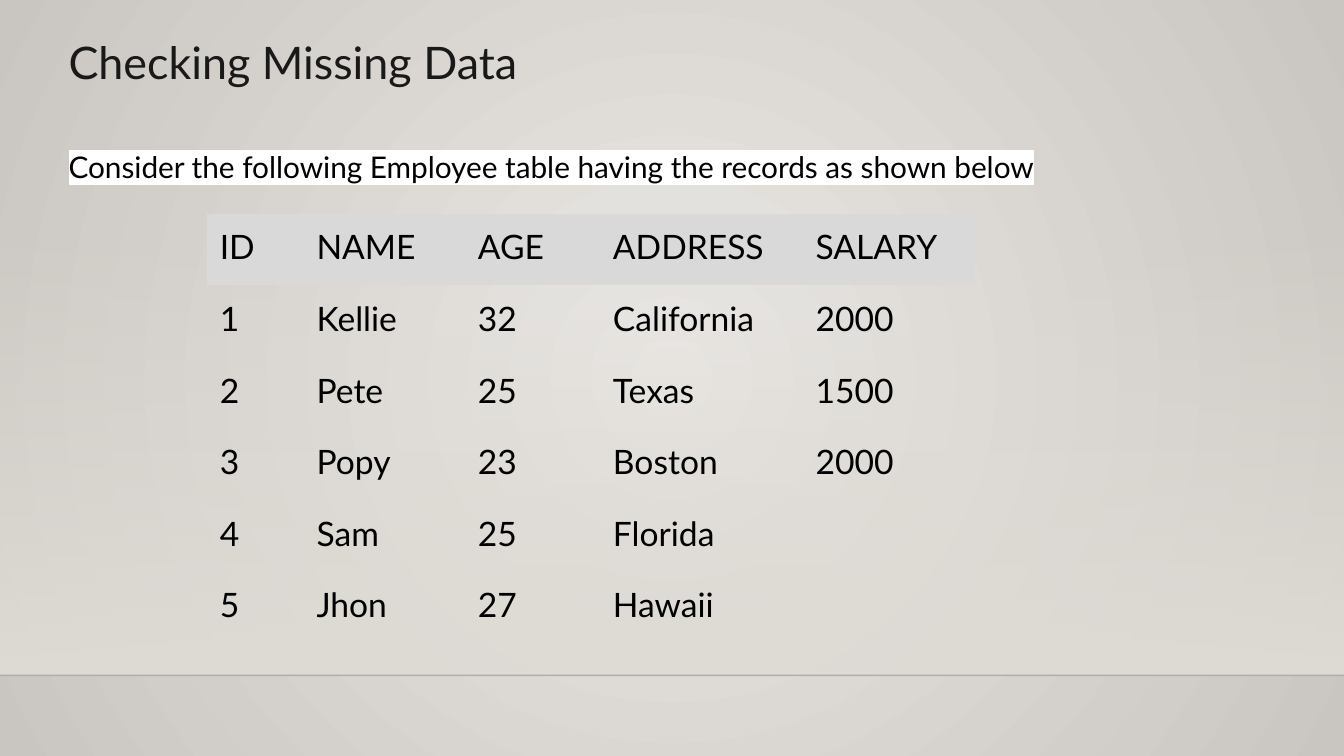
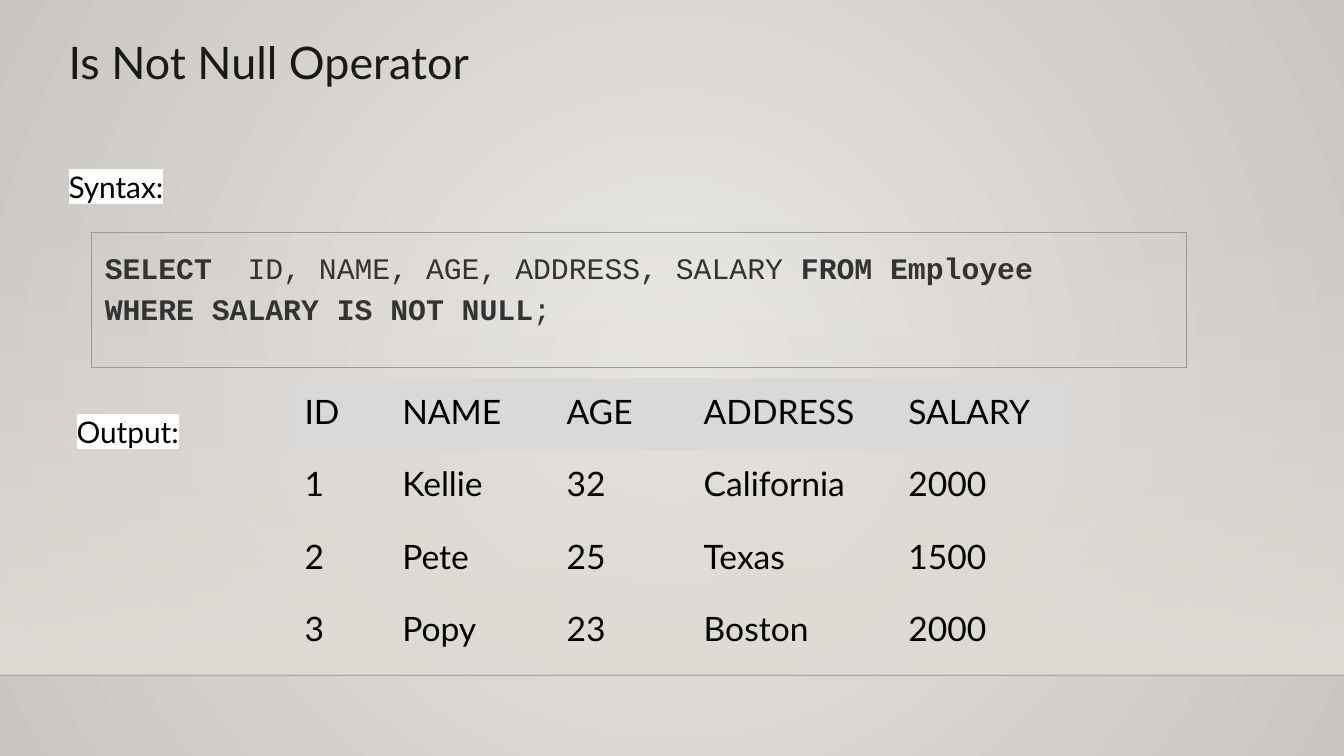
from pptx import Presentation
from pptx.dml.color import RGBColor
from pptx.enum.shapes import MSO_CONNECTOR, MSO_SHAPE
from pptx.enum.text import MSO_ANCHOR, MSO_AUTO_SIZE, PP_ALIGN
from pptx.oxml import parse_xml
from pptx.oxml.ns import qn
from pptx.util import Inches, Pt

RECTANGLE, STRAIGHT = MSO_SHAPE.RECTANGLE, MSO_CONNECTOR.STRAIGHT
TOP, NO_AUTOFIT = MSO_ANCHOR.TOP, MSO_AUTO_SIZE.NONE
LEFT, JUSTIFY = PP_ALIGN.LEFT, PP_ALIGN.JUSTIFY

COLORS = {
    "center": "EBE9E6", "edge": "C9C5C0", "band": "DFDBD5", "rule": "000001",
    "title": "191919", "text": "000000", "highlight": "FFFFFF",
    "header": "D9D9D9", "code": "333333", "code_border": "999999",
}
TITLE = {"name": "Lato", "size": Pt(32), "color": "title"}
LABEL = {"name": "Lato", "size": Pt(21.3), "color": "text"}
CELL = {"name": "Lato", "size": Pt(24), "color": "text"}
CODE = {"name": "Courier New", "size": Pt(21.3), "color": "code"}
FRAME = {
    "margin_left": Inches(0.13), "margin_right": Inches(0.13),
    "margin_top": Inches(0.13), "margin_bottom": Inches(0.13),
    "vertical_anchor": TOP, "word_wrap": True, "auto_size": NO_AUTOFIT,
}
DRAWING_NS = 'xmlns:a="http://schemas.openxmlformats.org/drawingml/2006/main"'
SLIDE_NS = 'xmlns:p="http://schemas.openxmlformats.org/presentationml/2006/main"'
NO_STYLE_NO_GRID = "{2D5ABB26-0587-4C30-8999-92F81FD0307C}"

HEADINGS = ["ID", "NAME", "AGE", "ADDRESS", "SALARY"]
EMPLOYEES = [
    ["1", "Kellie", "32", "California", "2000"],
    ["2", "Pete", "25", "Texas", "1500"],
    ["3", "Popy", "23", "Boston", "2000"],
    ["4", "Sam", "25", "Florida", ""],
    ["5", "Jhon", "27", "Hawaii", ""],
]
QUERY = [
    [("SELECT", True), ("  ID, NAME, AGE, ADDRESS, SALARY ", False),
     ("FROM Employee", True)],
    [("WHERE SALARY IS NOT NULL", True), (";", False)],
]
# Labels: text, left, top, width, height.  Tables: left, top, row height.
SLIDES = [
    {"title": "Checking Missing Data",
     "labels": [("Consider the following Employee table having the records "
                 "as shown below", 0.55, 1.35, 11.23, 0.77)],
     "query": [],
     "table": (2.05, 2.12, 0.71),
     "columns": [0.96, 1.6, 1.34, 2.01, 1.71],
     "records": EMPLOYEES},
    {"title": "Is Not Null Operator",
     "labels": [("Syntax:", 0.55, 1.54, 1.5, 0.77),
                ("Output:", 0.63, 3.97, 1.42, 0.6)],
     "query": QUERY,
     "table": (2.89, 3.75, 0.72),
     "columns": [0.97, 1.63, 1.36, 2.03, 1.73],
     "records": [record for record in EMPLOYEES if record[-1]]},
]


def gradient(start, end, direction, start_alpha=100):
    """Return gradFill XML; direction is its a:lin or a:path element."""
    return (
        f'<a:gradFill {DRAWING_NS} rotWithShape="1"><a:gsLst>'
        f'<a:gs pos="0"><a:srgbClr val="{COLORS[start]}">'
        f'<a:alpha val="{start_alpha * 1000}"/></a:srgbClr></a:gs>'
        f'<a:gs pos="100000"><a:srgbClr val="{COLORS[end]}"/></a:gs>'
        f'</a:gsLst>{direction}</a:gradFill>')


def add_span(para, text, style, bold=False):
    span = para.add_run()
    span.text = text
    span.font.name = style["name"]
    span.font.size = style["size"]
    span.font.bold = bold
    span.font.color.rgb = RGBColor.from_string(COLORS[style["color"]])
    return span


deck = Presentation()
deck.slide_width, deck.slide_height = Inches(13.33), Inches(7.5)
layout = deck.slide_layouts[5]
pages = [deck.slides.add_slide(layout) for _ in SLIDES]

# Shared backdrop: built on the first page, then moved to the layout
radial = ('<a:path path="circle"><a:fillToRect l="50000" t="50000" '
          'r="50000" b="50000"/></a:path>')
layout.element.cSld.insert(0, parse_xml(
    f'<p:bg {SLIDE_NS} {DRAWING_NS}><p:bgPr>'
    f'{gradient("center", "edge", radial)}<a:effectLst/></p:bgPr></p:bg>'))

band = pages[0].shapes.add_shape(
    RECTANGLE, 0, Inches(2.21), deck.slide_width, Inches(4.49))
band.shadow.inherit = False
band.line.fill.background()
band.element.spPr.insert(2, parse_xml(
    gradient("band", "band", '<a:lin ang="5400000" scaled="0"/>', 0)))

rule = pages[0].shapes.add_connector(
    STRAIGHT, 0, Inches(6.7), deck.slide_width, Inches(6.7))
rule.line.width = Pt(1)
rule.line.color.rgb = RGBColor.from_string(COLORS["rule"])
rule_color = rule.element.spPr.find(".//" + qn("a:srgbClr"))
rule_color.append(parse_xml(f'<a:alpha {DRAWING_NS} val="20000"/>'))
rule.element.spPr.append(parse_xml(f'<a:effectLst {DRAWING_NS}/>'))
for part in (band, rule):
    layout.shapes.element.append(part.element)

for page, content in zip(pages, SLIDES):
    title = page.shapes.title
    title.left, title.top = Inches(0.55), Inches(0.21)
    title.width, title.height = Inches(10.86), Inches(0.77)
    for name, value in FRAME.items():
        setattr(title.text_frame, name, value)
    para = title.text_frame.paragraphs[0]
    para.alignment = LEFT
    add_span(para, content["title"], TITLE)

    for text, *place in content["labels"]:
        box = page.shapes.add_textbox(*map(Inches, place))
        for name, value in FRAME.items():
            setattr(box.text_frame, name, value)
        para = box.text_frame.paragraphs[0]
        para.alignment = JUSTIFY
        span = add_span(para, text, LABEL)
        span.font.fill._xPr.find(qn("a:solidFill")).addnext(parse_xml(
            f'<a:highlight {DRAWING_NS}>'
            f'<a:srgbClr val="{COLORS["highlight"]}"/></a:highlight>'))

    if content["query"]:
        box = page.shapes.add_shape(
            RECTANGLE, Inches(0.91), Inches(2.31), Inches(10.86), Inches(1.34))
        box.shadow.inherit = False
        box.fill.background()
        box.line.width = Pt(0.75)
        box.line.color.rgb = RGBColor.from_string(COLORS["code_border"])
        frame = box.text_frame
        for name, value in FRAME.items():
            setattr(frame, name, value)
        frame.margin_top = Inches(0.17)
        for index, spans in enumerate(content["query"]):
            para = frame.add_paragraph() if index else frame.paragraphs[0]
            para.alignment = LEFT
            para.line_spacing = 1.15 if index else 1
            for text, bold in spans:
                add_span(para, text, CODE, bold)

    rows = [HEADINGS] + content["records"]
    left, top, row_height = content["table"]
    widths = content["columns"]
    graphic = page.shapes.add_table(
        len(rows), len(widths), Inches(left), Inches(top),
        Inches(sum(widths)), Inches(row_height * len(rows)))
    table = graphic.table
    table.first_row = table.horz_banding = False
    style_id = graphic.element.find(".//" + qn("a:tableStyleId"))
    style_id.text = NO_STYLE_NO_GRID
    for column, width in zip(table.columns, widths):
        column.width = Inches(width)
    for row_index, values in enumerate(rows):
        table.rows[row_index].height = Inches(row_height)
        for column_index, text in enumerate(values):
            cell = table.cell(row_index, column_index)
            for side in ("left", "right", "top", "bottom"):
                setattr(cell, f"margin_{side}", Inches(0.13))
            if row_index == 0:
                cell.fill.solid()
                cell.fill.fore_color.rgb = RGBColor.from_string(COLORS["header"])
            else:
                cell.fill.background()
            if text:
                add_span(cell.text_frame.paragraphs[0], text, CELL)

deck.save("out.pptx")
